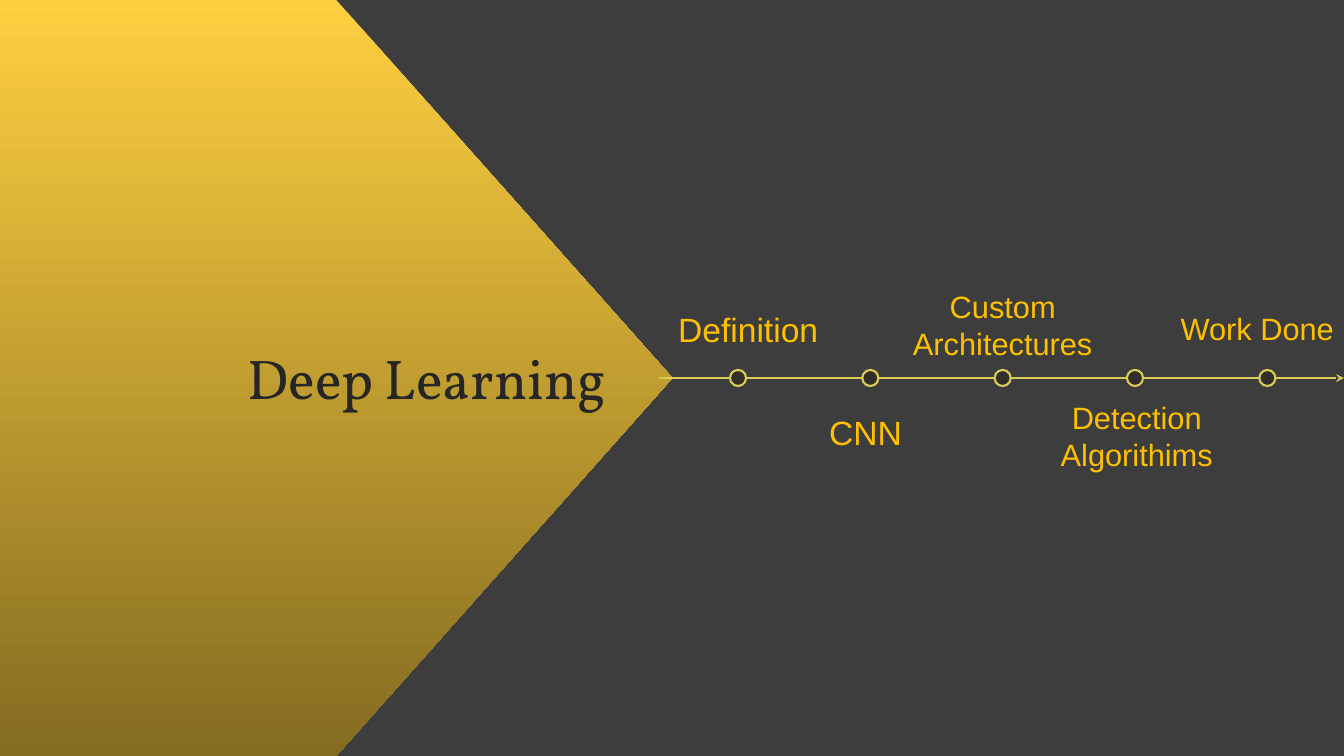
from lxml import etree
from pptx import Presentation
from pptx.dml.color import RGBColor
from pptx.enum.shapes import MSO_CONNECTOR, MSO_SHAPE
from pptx.enum.text import PP_ALIGN
from pptx.oxml.ns import qn
from pptx.util import Inches, Pt

PENTAGON = MSO_SHAPE.PENTAGON
OVAL = MSO_SHAPE.OVAL
STRAIGHT = MSO_CONNECTOR.STRAIGHT
LEFT = PP_ALIGN.LEFT
CENTER = PP_ALIGN.CENTER

COLORS = {
    "background": "3D3D3D",
    "gold": "FECF40",
    "bronze": "846C21",
    "title": "262626",
    "timeline": "DACD57",
    "marker": "342E28",
    "label": "FFC000",
}

SLIDE_WIDTH, SLIDE_HEIGHT = 13.33, 7.5
AXIS_Y = SLIDE_HEIGHT / 2
MARKER_SIZE = 0.16
FIRST_MARKER, LAST_MARKER = 7.24, 12.49

LABELS = [
    ("Definition", (6.53, 3.02, 1.78, 0.58), 24),
    ("CNN ", (7.74, 4.04, 1.78, 0.58), 24),
    ("Custom Architectures", (8.84, 2.81, 2.21, 0.84), 22),
    ("Detection Algorithims", (10.41, 3.91, 1.73, 0.84), 22),
    ("Work Done", (11.6, 3.02, 1.74, 0.47), 22),
]


def color(name):
    return RGBColor.from_string(COLORS[name])


def write_text(frame, text, *, size, font, fill, align=LEFT):
    frame.word_wrap = True
    paragraph = frame.paragraphs[0]
    paragraph.alignment = align
    run = paragraph.add_run()
    run.text = text
    run.font.size = Pt(size)
    run.font.name = font
    run.font.color.rgb = color(fill)


class SlideBuilder:
    title_font = "Vollkorn"
    label_font = "Arial"

    def __init__(self, slide):
        self.slide = slide

    def background(self, fill):
        self.slide.background.fill.solid()
        self.slide.background.fill.fore_color.rgb = color(fill)

    def shape(self, kind, box):
        shape = self.slide.shapes.add_shape(kind, *map(Inches, box))
        shape.shadow.inherit = False
        return shape

    def gradient_panel(self, box, top, bottom):
        panel = self.shape(PENTAGON, box)
        panel.line.fill.background()
        panel.fill.gradient()
        panel.fill.gradient_angle = 270
        for stop, name, position in zip(panel.fill.gradient_stops, (top, bottom), (0, 1)):
            stop.color.rgb = color(name)
            stop.position = position

    def text(self, text, box, **style):
        text_box = self.slide.shapes.add_textbox(*map(Inches, box))
        write_text(text_box.text_frame, text, **style)

    def arrow(self, start, end, y):
        connector = self.slide.shapes.add_connector(
            STRAIGHT, Inches(start), Inches(y), Inches(end), Inches(y))
        connector.line.color.rgb = color("timeline")
        connector.line.width = Pt(2)
        line = connector.line._get_or_add_ln()
        etree.SubElement(line, qn("a:tailEnd"), type="stealth")
        etree.SubElement(connector._element.spPr, qn("a:effectLst"))

    def marker(self, left):
        marker = self.shape(OVAL, (left, AXIS_Y - MARKER_SIZE / 2, MARKER_SIZE, MARKER_SIZE))
        marker.fill.solid()
        marker.fill.fore_color.rgb = color("marker")
        marker.line.color.rgb = color("timeline")
        marker.line.width = Pt(1.5)


def main():
    presentation = Presentation()
    presentation.slide_width = Inches(SLIDE_WIDTH)
    presentation.slide_height = Inches(SLIDE_HEIGHT)
    builder = SlideBuilder(presentation.slides.add_slide(presentation.slide_layouts[6]))

    builder.background("background")
    builder.gradient_panel((0, 0, 6.67, SLIDE_HEIGHT), "gold", "bronze")
    builder.text("Deep Learning", (2.36, 3.36, 5.04, 0.77),
                 size=40, font=builder.title_font, fill="title")
    builder.arrow(6.54, SLIDE_WIDTH, AXIS_Y)

    spacing = (LAST_MARKER - FIRST_MARKER) / (len(LABELS) - 1)
    for index, (label, box, size) in enumerate(LABELS):
        builder.marker(FIRST_MARKER + index * spacing)
        builder.text(label, box, size=size, font=builder.label_font,
                     fill="label", align=CENTER)

    presentation.save("out.pptx")


if __name__ == "__main__":
    main()
